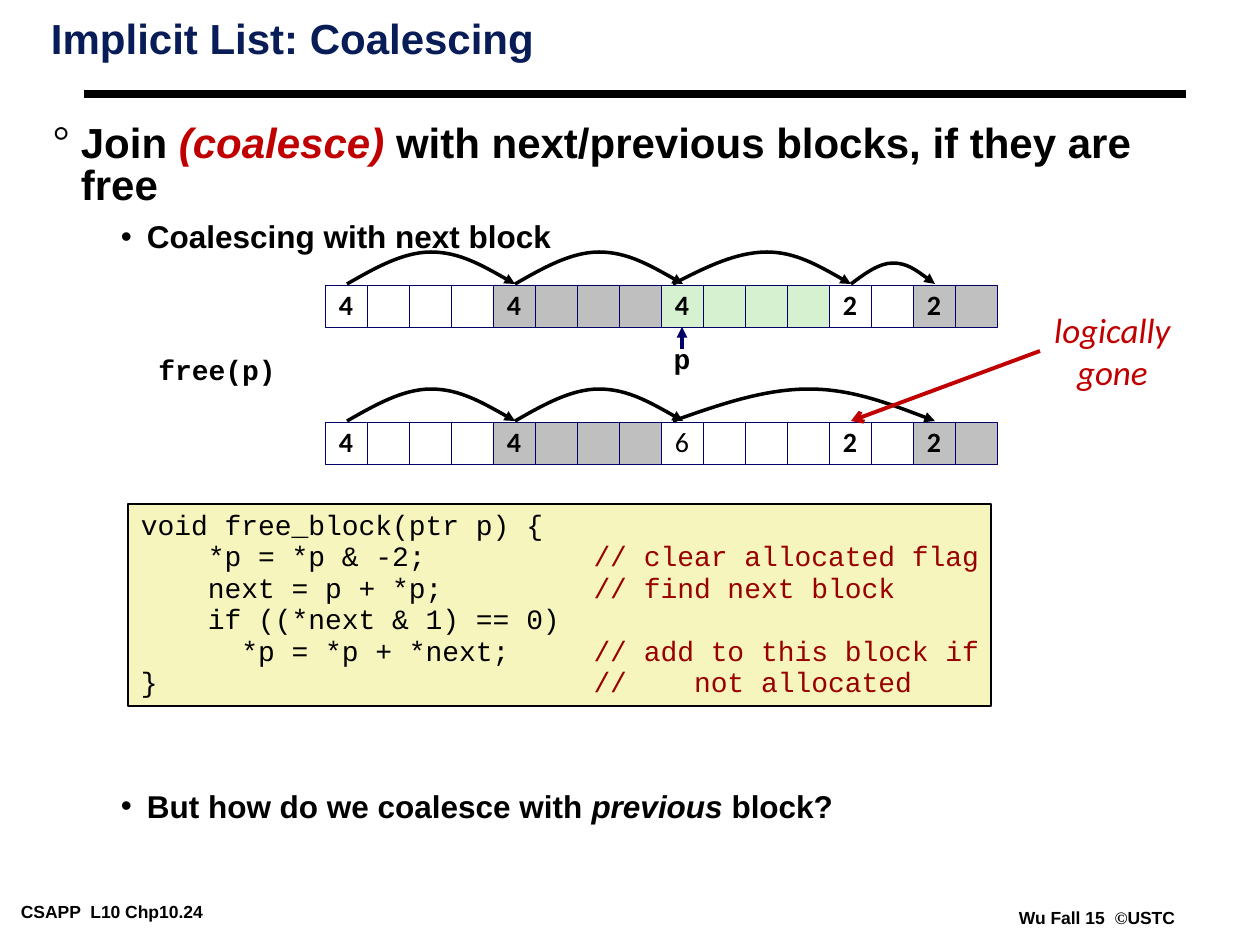
"""Build the slide on coalescing free blocks in an implicit list."""
from dataclasses import dataclass

from lxml.etree import SubElement
from pptx import Presentation
from pptx.dml.color import RGBColor
from pptx.enum.shapes import MSO_CONNECTOR as Connector, MSO_SHAPE as Preset
from pptx.enum.text import MSO_ANCHOR as Anchor, MSO_AUTO_SIZE as AutoSize, PP_ALIGN as Align
from pptx.oxml.ns import qn
from pptx.util import Emu, Inches, Pt

BLACK = RGBColor(0x00, 0x00, 0x00)
WHITE = RGBColor(0xFF, 0xFF, 0xFF)
TITLE_BLUE = RGBColor(0x08, 0x1D, 0x58)
NAVY = RGBColor(0x00, 0x00, 0x66)
RED = RGBColor(0xC0, 0x00, 0x00)
COMMENT_RED = RGBColor(0x99, 0x00, 0x00)
CREAM = RGBColor(0xF6, 0xF5, 0xBD)
GREEN = RGBColor(0xD5, 0xF1, 0xCF)
GRAY = RGBColor(0xBF, 0xBF, 0xBF)
SILVER = RGBColor(0xC0, 0xC0, 0xC0)

PX_PER_INCH = 126
CELL = 42
ROW_LEFT = 325
FIRST_CENTER = 347
COMMENT_COLUMN = 27
NARROW = (9, 4)
WIDE = (13, 6)


@dataclass(frozen=True)
class Span:
    text: str
    size: float
    font: str = "Arial"
    color: RGBColor = BLACK
    bold: bool = True
    italic: bool = False


@dataclass(frozen=True)
class Block:
    label: str
    cells: int
    fill: RGBColor
    bold: bool = True


@dataclass(frozen=True)
class Arc:
    first: int
    last: int
    height: int = 32
    pull: int = 0


@dataclass(frozen=True)
class MemoryRow:
    top: int
    blocks: tuple[Block, ...]
    arcs: tuple[Arc, ...]


@dataclass(frozen=True)
class Point:
    bullet: str
    left: int
    hang: int
    spacing: float
    before: float
    spans: tuple[Span, ...]


ROWS = (
    MemoryRow(
        285,
        (Block("4", 4, WHITE), Block("4", 4, GRAY), Block("4", 4, GREEN),
         Block("2", 2, WHITE), Block("2", 2, SILVER)),
        (Arc(0, 4), Arc(4, 8), Arc(8, 12, pull=10), Arc(12, 14, height=21)),
    ),
    MemoryRow(
        422,
        (Block("4", 4, WHITE), Block("4", 4, GRAY), Block("6", 4, WHITE, bold=False),
         Block("2", 2, WHITE), Block("2", 2, SILVER)),
        (Arc(0, 4), Arc(4, 8), Arc(8, 14, pull=10)),
    ),
)

POINTS = (
    Point("°", 28, 28, 0.83, 0, (
        Span("Join ", 24),
        Span("(coalesce) ", 24, color=RED, italic=True),
        Span("with next/previous blocks, if they are free", 24))),
    Point("•", 94, 26, 0.88, 7.5, (Span("Coalescing with next block", 18),)),
    Point("•", 94, 26, 0.88, 306.5, (
        Span("But how do we coalesce with ", 18),
        Span("previous", 18, italic=True),
        Span(" block?", 18))),
)

CODE = (
    ("void free_block(ptr p) {", ""),
    ("    *p = *p & -2;", "// clear allocated flag"),
    ("    next = p + *p;", "// find next block"),
    ("    if ((*next & 1) == 0)", ""),
    ("      *p = *p + *next;", "// add to this block if"),
    ("}", "//    not allocated"),
)


def px(value: float) -> Emu:
    """Turn px into EMU."""
    return Emu(round(value * Inches(1) / PX_PER_INCH))


def add_span(para, span: Span) -> None:
    """Add one formatted run."""
    run = para.add_run()
    run.text = span.text
    font = run.font
    font.name, font.size = span.font, Pt(span.size)
    font.bold, font.italic = span.bold, span.italic
    font.color.rgb = span.color


def set_frame(frame, insets: tuple[int, int], wrap: bool = False, anchor=Anchor.TOP) -> None:
    """Set insets, wrapping and anchor of a text frame."""
    frame.margin_left = frame.margin_right = px(insets[0])
    frame.margin_top = frame.margin_bottom = px(insets[1])
    frame.auto_size = AutoSize.NONE
    frame.word_wrap = wrap
    frame.vertical_anchor = anchor


def add_label(page, left: int, top: int, width: int, height: int, lines, insets=WIDE,
              align=Align.CENTER, spacing: float = 1.0) -> None:
    """Add a text box whose paragraphs are tuples of spans."""
    frame = page.shapes.add_textbox(px(left), px(top), px(width), px(height)).text_frame
    set_frame(frame, insets)
    for index, spans in enumerate(lines):
        para = frame.add_paragraph() if index else frame.paragraphs[0]
        para.alignment, para.line_spacing = align, spacing
        for span in spans:
            add_span(para, span)


def add_box(page, left: int, top: int, width: int, height: int, fill: RGBColor,
            line: RGBColor, weight: float):
    """Add a filled, outlined rectangle."""
    box = page.shapes.add_shape(Preset.RECTANGLE, px(left), px(top), px(width), px(height))
    box.shadow.inherit = False
    box.fill.solid()
    box.fill.fore_color.rgb = fill
    box.line.color.rgb, box.line.width = line, Pt(weight)
    return box


def set_stroke(shape, color: RGBColor, weight: float, head: str = "") -> None:
    """Set line colour, weight and optional end arrowhead."""
    shape.line.color.rgb, shape.line.width = color, Pt(weight)
    if head:
        SubElement(shape.element.spPr.find(qn("a:ln")), qn("a:tailEnd"), type=head)


def add_line(page, start: tuple[int, int], end: tuple[int, int], color: RGBColor,
             weight: float, head: str = "") -> None:
    """Add a straight connector."""
    line = page.shapes.add_connector(Connector.STRAIGHT, *map(px, start + end))
    set_stroke(line, color, weight, head)
    SubElement(line.element.spPr, qn("a:effectLst"))


def add_arc(page, arc: Arc, base: int) -> None:
    """Add an arrow of two cubic curves between two cells."""
    start, end = (FIRST_CENTER + index * CELL for index in (arc.first, arc.last))
    apex, start = (start + end) / 2, start - arc.pull
    top = base - arc.height
    builder = page.shapes.build_freeform(px(start), px(base))
    builder.add_line_segments([(px(apex), px(top)), (px(end), px(base))], close=False)
    curve = builder.convert_to_shape()
    outline = curve.element.spPr.find(".//" + qn("a:path"))
    for segment in outline.findall(qn("a:lnTo")):
        outline.remove(segment)
    rise, fall = (apex - start) / 3, (end - apex) / 3
    middle = base - arc.height / 2
    halves = (
        ((start + rise, middle), (apex - rise, top), (apex, top)),
        ((apex + fall, top), (end - fall, middle), (end, base)),
    )
    for half in halves:
        bend = SubElement(outline, qn("a:cubicBezTo"))
        for x, y in half:
            SubElement(bend, qn("a:pt"), x=str(px(x - start)), y=str(px(y - top)))
    curve.shadow.inherit = False
    curve.fill.background()
    set_stroke(curve, BLACK, 2, "triangle")


def add_row(page, row: MemoryRow) -> None:
    """Draw a row of memory blocks and its arrows."""
    index = 0
    for block in row.blocks:
        for offset in range(block.cells):
            box = add_box(page, ROW_LEFT + index * CELL, row.top, CELL, CELL, block.fill, NAVY, 0.25)
            if offset == 0:
                set_frame(box.text_frame, WIDE, anchor=Anchor.MIDDLE)
                para = box.text_frame.paragraphs[0]
                para.alignment, para.line_spacing = Align.CENTER, 0.98
                add_span(para, Span(block.label, 16, "Calibri", bold=block.bold))
            index += 1
    for arc in row.arcs:
        add_arc(page, arc, row.top - 1)


def add_points(page) -> None:
    """Add the bulleted text."""
    frame = page.shapes.add_textbox(px(44), px(121), px(1145), px(756)).text_frame
    set_frame(frame, NARROW, wrap=True)
    for index, point in enumerate(POINTS):
        para = frame.add_paragraph() if index else frame.paragraphs[0]
        para.line_spacing, para.space_before = point.spacing, Pt(point.before)
        props = para._p.get_or_add_pPr()
        props.set("marL", str(px(point.left)))
        props.set("indent", str(-px(point.hang)))
        SubElement(SubElement(props, qn("a:buClr")), qn("a:srgbClr"), val=str(BLACK))
        SubElement(props, qn("a:buFont"), typeface="Times New Roman" if point.bullet == "°" else "Arial")
        SubElement(props, qn("a:buChar"), char=point.bullet)
        for span in point.spans:
            add_span(para, span)


def add_code(page) -> None:
    """Add the code listing with aligned comments."""
    frame = add_box(page, 128, 504, 863, 202, CREAM, BLACK, 1).text_frame
    set_frame(frame, WIDE)
    para = frame.paragraphs[0]
    para.alignment, para.line_spacing = Align.LEFT, 0.94
    for index, (code, comment) in enumerate(CODE):
        if index:
            para.add_line_break()
        text = code.ljust(COMMENT_COLUMN) if comment else code
        add_span(para, Span(text, 16, "Courier New", bold=False))
        if comment:
            add_span(para, Span(comment, 16, "Courier New", COMMENT_RED, bold=False))


def main() -> None:
    """Build and save the deck."""
    deck = Presentation()
    deck.slide_width, deck.slide_height = Inches(10), Inches(7.5)
    page = deck.slides.add_slide(deck.slide_layouts[5])

    title = page.shapes.title
    title.left, title.top, title.width, title.height = map(px, (42, 15, 932, 79))
    set_frame(title.text_frame, NARROW, wrap=True)
    para = title.text_frame.paragraphs[0]
    para.alignment, para.line_spacing = Align.LEFT, 0.87
    add_span(para, Span("Implicit List: Coalescing", 24, color=TITLE_BLUE))
    add_line(page, (84, 94), (1186, 94), BLACK, 4.5)

    add_points(page)
    add_code(page)
    for row in ROWS:
        add_row(page, row)

    for text, left, top, width in (("free(p)", 146, 349, 142), ("p", 661, 338, 42)):
        add_label(page, left, top, width, 44, [(Span(text, 16, "Courier New"),)], spacing=0.94)
    add_line(page, (682, 349), (682, 327), NAVY, 2, "triangle")
    gone = [(Span(word, 20, "Calibri", RED, bold=False, italic=True),) for word in ("logically", "gone")]
    add_label(page, 1042, 302, 141, 97, gone)
    add_line(page, (1040, 351), (851, 421), RED, 2.25, "arrow")

    add_label(page, 12, 897, 265, 28, [(Span("CSAPP  L10 Chp10.24", 10),)], NARROW, Align.LEFT)
    credit = (Span("Wu Fall 15  ", 10), Span("©", 10, "Times New Roman"), Span("USTC", 10))
    add_label(page, 1010, 903, 174, 28, [credit], NARROW, Align.LEFT)
    deck.save("out.pptx")


if __name__ == "__main__":
    main()
